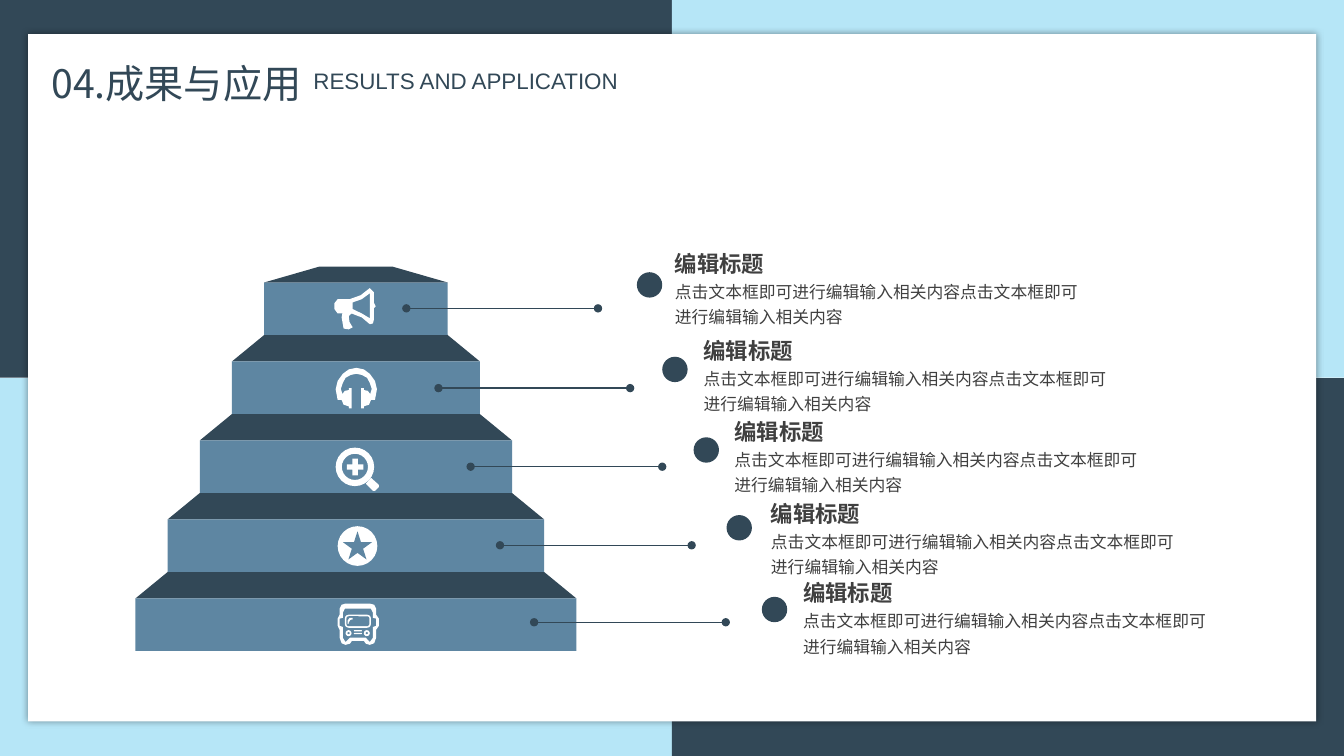
from lxml.etree import SubElement
from pptx import Presentation
from pptx.dml.color import RGBColor
from pptx.enum.shapes import MSO_CONNECTOR, MSO_SHAPE
from pptx.enum.text import MSO_ANCHOR, MSO_AUTO_SIZE, PP_ALIGN
from pptx.oxml.ns import qn
from pptx.util import Cm, Pt

HUES = {"dark": "324857", "pale": "B6E6F7", "mid": "5E86A2",
        "white": "FFFFFF", "grey": "404040", "black": "000000"}
SANS = "Noto Sans CJK SC"


def put(kind, x, y, w, h, hue, adj=None):
    shape = deck.add_shape(kind, Cm(x), Cm(y), Cm(w), Cm(h))
    shape.shadow.inherit = False
    shape.fill.solid()
    shape.fill.fore_color.rgb = RGBColor.from_string(HUES[hue])
    shape.line.fill.background()
    if adj is not None:
        shape.adjustments[0] = adj
    return shape


def write(text, x, y, w, h, size, hue="grey", font=SANS, bold=False, space=1.0, box=None):
    box = box or deck.add_textbox(0, 0, 0, 0)
    box.left, box.top, box.width, box.height = Cm(x), Cm(y), Cm(w), Cm(h)
    frame = box.text_frame
    frame.word_wrap = True
    frame.auto_size = MSO_AUTO_SIZE.NONE
    frame.vertical_anchor = MSO_ANCHOR.TOP
    para = frame.paragraphs[0]
    para.alignment = PP_ALIGN.LEFT
    para.line_spacing = space
    run = para.add_run()
    run.text = text
    run.font.size = Pt(size)
    run.font.bold = bold
    run.font.name = font
    run.font.color.rgb = RGBColor.from_string(HUES[hue])
    SubElement(run.font._element, qn("a:ea"), typeface=font)
    return box


prs = Presentation()
prs.slide_width, prs.slide_height = Cm(33.87), Cm(19.05)
slide = prs.slides.add_slide(prs.slide_layouts[5])
deck = slide.shapes
title = deck.title

for row in range(2):
    for col in range(2):
        put(MSO_SHAPE.RECTANGLE, col * 16.93, row * 9.53, 16.94, 9.52,
            "dark" if row == col else "pale")
card = put(MSO_SHAPE.RECTANGLE, 0.71, 0.86, 32.46, 17.32, "white")
glow = SubElement(card.element.spPr.find(qn("a:effectLst")), qn("a:outerShdw"),
                  blurRad=str(Pt(5)), dist="0", dir="0", algn="ctr", rotWithShape="0")
tint = SubElement(glow, qn("a:srgbClr"), val=HUES["black"])
SubElement(tint, qn("a:alpha"), val="40000")

title.element.getparent().append(title.element)
write("04.成果与应用", 1.04, 0.48, 10.54, 2.31, 28, "dark", space=1.75, box=title)
write("RESULTS AND APPLICATION", 7.65, 1.57, 13.78, 0.91, 16, "dark", "Arial")

forms = []
for step in reversed(range(5)):
    wide = 4.63 + 1.62 * step
    left, top = 8.97 - wide / 2, 7.12 + 1.99 * step
    inset, rise = (1.62, 1.33) if step else (1.39, 0.4)
    build = deck.build_freeform(Cm(left), Cm(top), 1)
    build.add_line_segments([(Cm(left + inset), Cm(top - rise)),
                             (Cm(left + wide - inset), Cm(top - rise)),
                             (Cm(left + wide), Cm(top))])
    roof = build.convert_to_shape()
    roof.shadow.inherit = False
    roof.fill.solid()
    roof.fill.fore_color.rgb = RGBColor.from_string(HUES["dark"])
    roof.line.fill.background()
    put(MSO_SHAPE.RECTANGLE, left, top, wide, 1.32, "mid")

rows = [
    (16.05, 6.86, 10.24, 7.77, 16.76, 6.17),
    (16.69, 8.99, 11.05, 9.78, 17.48, 8.36),
    (17.48, 11.02, 11.86, 11.76, 18.26, 10.41),
    (18.31, 12.98, 12.6, 13.74, 19.18, 12.47),
    (19.2, 15.04, 13.46, 15.68, 19.99, 14.48),
]
for dot_x, dot_y, line_x, line_y, text_x, text_y in rows:
    put(MSO_SHAPE.OVAL, dot_x, dot_y, 0.64, 0.64, "dark")
    line = deck.add_connector(MSO_CONNECTOR.STRAIGHT, Cm(line_x), Cm(line_y),
                              Cm(line_x + 4.83), Cm(line_y))
    line.line.color.rgb = RGBColor.from_string(HUES["dark"])
    line.line.width = Pt(1)
    for end in ("a:headEnd", "a:tailEnd"):
        SubElement(line.line._get_or_add_ln(), qn(end), type="oval")
    SubElement(line.element.spPr, qn("a:effectLst"))
    write("点击文本框即可进行编辑输入相关内容点击文本框即可进行编辑输入相关内容",
          text_x, text_y + 0.67, 10.74, 1.52, 12, space=1.25)
    write("编辑标题", text_x, text_y, 3.71, 0.91, 16, bold=True)

put(MSO_SHAPE.DONUT, 8.46, 11.28, 0.97, 0.97, "white", 0.16)
put(MSO_SHAPE.CROSS, 8.74, 11.56, 0.42, 0.42, "white", 0.34)
put(MSO_SHAPE.OVAL, 8.51, 13.26, 1, 1, "white")
put(MSO_SHAPE.STAR_5_POINT, 8.64, 13.39, 0.74, 0.71, "mid")
put(MSO_SHAPE.ROUNDED_RECTANGLE, 8.69, 15.49, 0.66, 0.33, "white", 0.3)
put(MSO_SHAPE.ROUNDED_RECTANGLE, 8.73, 15.53, 0.58, 0.25, "mid", 0.25)
for lamp in (8.71, 9.17):
    put(MSO_SHAPE.DONUT, lamp, 15.88, 0.15, 0.15, "white", 0.3)
for bar in (15.88, 15.95):
    put(MSO_SHAPE.ROUNDED_RECTANGLE, 8.92, bar, 0.2, 0.03, "white", 0.5)

horn = [
    [(104, 46), (99, 51), (99, 81), (97, 89), (89, 91), (69, 74), (43, 64), (36, 71),
     (38, 86), (46, 99), (36, 104), (23, 102), (18, 74), (20, 64), (8, 64), (0, 53),
     (0, 38), (8, 28), (38, 28), (66, 18), (89, 0), (99, 10), (99, 36)],
    [(89, 13), (69, 28), (46, 36), (46, 53), (69, 64), (89, 76)],
]
phones = [
    [(5, 81), (0, 54), (5, 33), (18, 15), (33, 4), (52, 0), (71, 4), (86, 15), (99, 33),
     (104, 54), (99, 81), (89, 81), (84, 93), (71, 97), (71, 102), (64, 102), (64, 51),
     (71, 51), (71, 56), (81, 58), (87, 66), (91, 53), (86, 38), (79, 25), (66, 18),
     (52, 15), (38, 18), (25, 25), (18, 38), (13, 53), (17, 66), (23, 58), (33, 56),
     (33, 51), (40, 51), (40, 102), (33, 102), (33, 97), (20, 93), (15, 81)],
]
grip = [[(89, 76), (109, 94), (109, 99), (99, 109), (94, 109), (76, 91)]]
bus = [
    [(5, 28), (5, 13), (10, 3), (20, 0), (81, 0), (92, 3), (97, 13), (97, 28), (104, 38),
     (104, 56), (97, 66), (97, 86), (92, 100), (81, 104), (71, 101), (66, 94), (36, 94),
     (31, 101), (20, 104), (10, 100), (5, 86), (5, 66), (0, 56), (0, 38)],
    [(13, 23), (18, 13), (84, 13), (89, 23), (89, 36), (97, 38), (97, 56), (89, 59),
     (89, 86), (81, 97), (71, 86), (31, 86), (20, 97), (13, 86), (13, 59), (5, 56),
     (5, 38), (13, 36)],
]
glint = [[(25, 51), (25, 43), (30, 36), (38, 36), (38, 40), (32, 41), (28, 48), (28, 51)]]

icons = [(8.43, 7.26, horn), (8.46, 9.27, phones), (8.46, 11.28, grip),
         (8.51, 15.21, bus), (8.51, 15.21, glint)]
for x, y, loops in icons:
    build = None
    for loop in loops:
        spots = [(Cm(x + a / 100), Cm(y + b / 100)) for a, b in loop]
        if build is None:
            build = deck.build_freeform(*spots[0], 1)
        else:
            build.move_to(*spots[0])
        build.add_line_segments(spots[1:])
    icon = build.convert_to_shape()
    icon.shadow.inherit = False
    icon.fill.solid()
    icon.fill.fore_color.rgb = RGBColor.from_string(HUES["white"])
    icon.line.fill.background()

prs.save("out.pptx")
